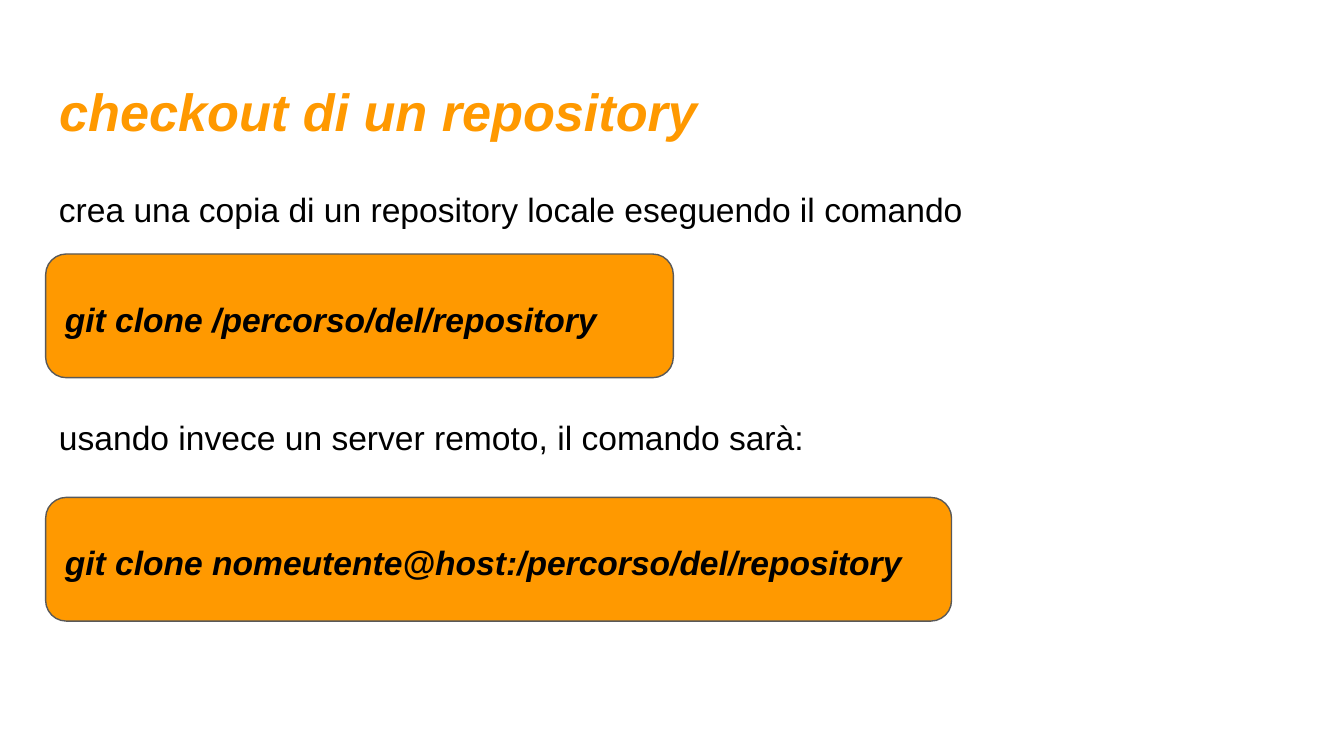
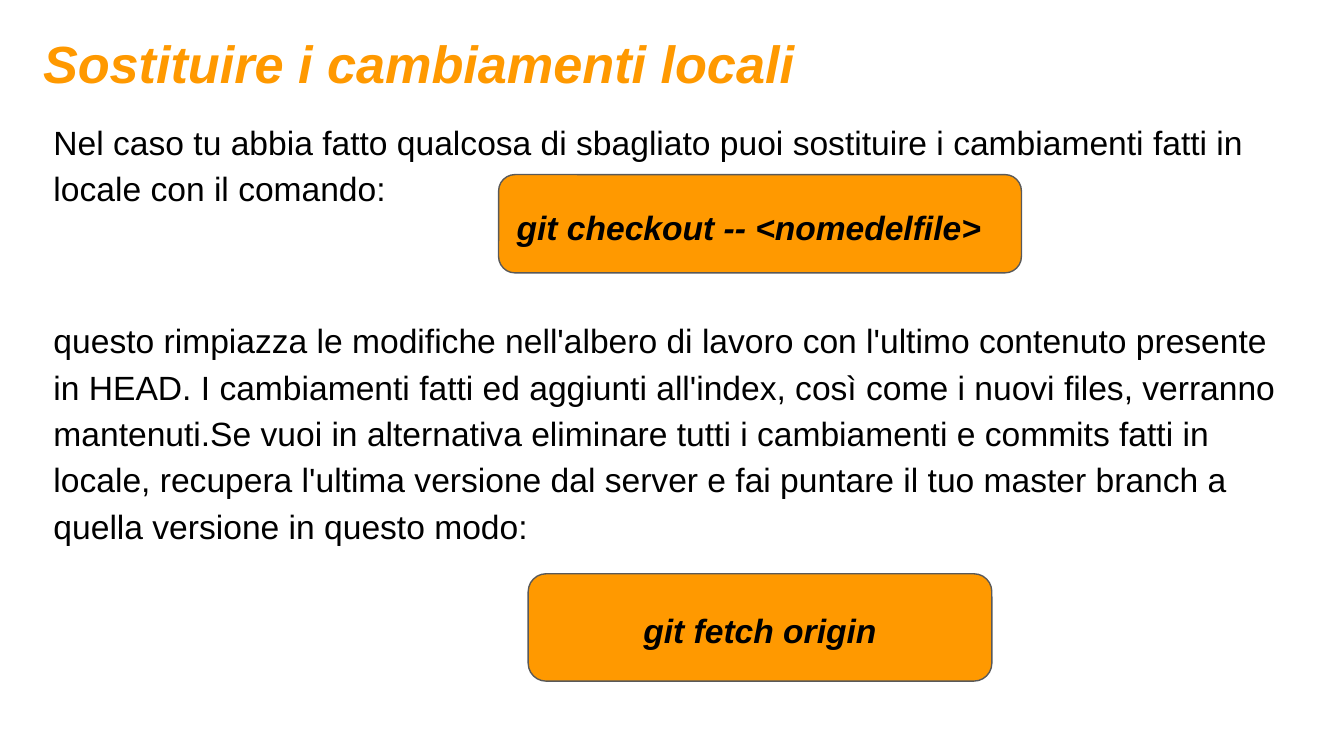
from pptx import Presentation
from pptx.dml.color import RGBColor
from pptx.enum.shapes import MSO_SHAPE
from pptx.enum.text import MSO_ANCHOR, MSO_AUTO_SIZE, PP_ALIGN
from pptx.util import Inches, Pt

ORANGE = RGBColor(0xFF, 0x99, 0x00)
GREY = RGBColor(0x59, 0x59, 0x59)
BLACK = RGBColor(0x00, 0x00, 0x00)
FONT = "Arial"
TITLE_SIZE, TEXT_SIZE = 28, 18
LINE_SPACING = 1.15
PARA_GAP = 16      # points between paragraphs
LINE_PITCH = 24.8  # points taken by one line of text
INSET = Inches(0.1)

# Grid: 100 columns by 100 rows over the slide
prs = Presentation()
prs.slide_width, prs.slide_height = Inches(10), Inches(5.625)
COL, ROW = prs.slide_width / 100, prs.slide_height / 100
TITLE_W, TITLE_H = 93.2, 11.2


def grid(box):
    """Turn (column, row, columns, rows) into lengths."""
    return [round(n * unit) for n, unit in zip(box, (COL, ROW, COL, ROW))]


def set_frame(tf, anchor):
    tf.word_wrap = True
    tf.auto_size = MSO_AUTO_SIZE.NONE
    tf.vertical_anchor = anchor
    tf.margin_left = tf.margin_top = tf.margin_right = tf.margin_bottom = INSET


def add_run(p, text, size, color, strong=False):
    r = p.add_run()
    r.text = text
    r.font.name, r.font.size = FONT, Pt(size)
    r.font.color.rgb = color
    r.font.bold = r.font.italic = strong


def add_title(s, text, col, row):
    sp = s.shapes.title
    sp.left, sp.top, sp.width, sp.height = grid((col, row, TITLE_W, TITLE_H))
    set_frame(sp.text_frame, MSO_ANCHOR.TOP)
    p = sp.text_frame.paragraphs[0]
    p.alignment = PP_ALIGN.LEFT
    add_run(p, text, TITLE_SIZE, ORANGE, strong=True)


def add_body(s, box, first, second, skipped):
    """Two paragraphs, with room for a number of skipped lines between them."""
    tf = s.shapes.add_textbox(*grid(box)).text_frame
    set_frame(tf, MSO_ANCHOR.TOP)
    gap = PARA_GAP + skipped * (PARA_GAP + LINE_PITCH)
    for p, text, before in ((tf.paragraphs[0], first, 0),
                            (tf.add_paragraph(), second, gap)):
        p.line_spacing = LINE_SPACING
        p.space_before = Pt(before)
        add_run(p, text, TEXT_SIZE, BLACK)


def add_command(s, box, text, align=PP_ALIGN.LEFT):
    sp = s.shapes.add_shape(MSO_SHAPE.ROUNDED_RECTANGLE, *grid(box))
    sp.shadow.inherit = False
    sp.fill.solid()
    sp.fill.fore_color.rgb = ORANGE
    sp.line.color.rgb = GREY
    sp.line.width = Pt(0.75)
    set_frame(sp.text_frame, MSO_ANCHOR.MIDDLE)
    p = sp.text_frame.paragraphs[0]
    p.alignment = align
    p.line_spacing = LINE_SPACING
    p.space_after = Pt(PARA_GAP)
    add_run(p, text, TEXT_SIZE, BLACK, strong=True)


def new_slide():
    return prs.slides.add_slide(prs.slide_layouts[5])


def checkout_slide():
    s = new_slide()
    left, command_h = 3.4, 16.36
    add_title(s, "checkout di un repository", left, 8.7)
    add_body(s, (left, 22.4, TITLE_W, 66.5),
             "crea una copia di un repository locale eseguendo il comando",
             "usando invece un server remoto, il comando sarà:", skipped=2)
    # Local and remote clone
    add_command(s, (left, 33.6, 46.7, command_h),
                "git clone /percorso/del/repository")
    add_command(s, (left, 65.8, 67.4, command_h),
                "git clone nomeutente@host:/percorso/del/repository")


def replace_slide():
    s = new_slide()
    add_title(s, "Sostituire i cambiamenti locali", 2.2, 2.3)
    add_body(s, (3, 13.5, 94, 74.8),
             "Nel caso tu abbia fatto qualcosa di sbagliato puoi sostituire "
             "i cambiamenti fatti in locale con il comando:",
             "questo rimpiazza le modifiche nell'albero di lavoro con l'ultimo "
             "contenuto presente in HEAD. I cambiamenti fatti ed aggiunti "
             "all'index, così come i nuovi files, verranno mantenuti.Se vuoi "
             "in alternativa eliminare tutti i cambiamenti e commits fatti in "
             "locale, recupera l'ultima versione dal server e fai puntare il "
             "tuo master branch a quella versione in questo modo:", skipped=1)
    # Discard one file, then fetch everything
    add_command(s, (37.1, 23.1, 38.9, 13), "git checkout -- <nomedelfile>")
    add_command(s, (39.3, 75.9, 34.5, 14.2), "git fetch origin",
                PP_ALIGN.CENTER)


def main():
    checkout_slide()
    replace_slide()
    prs.save("out.pptx")


if __name__ == "__main__":
    main()
